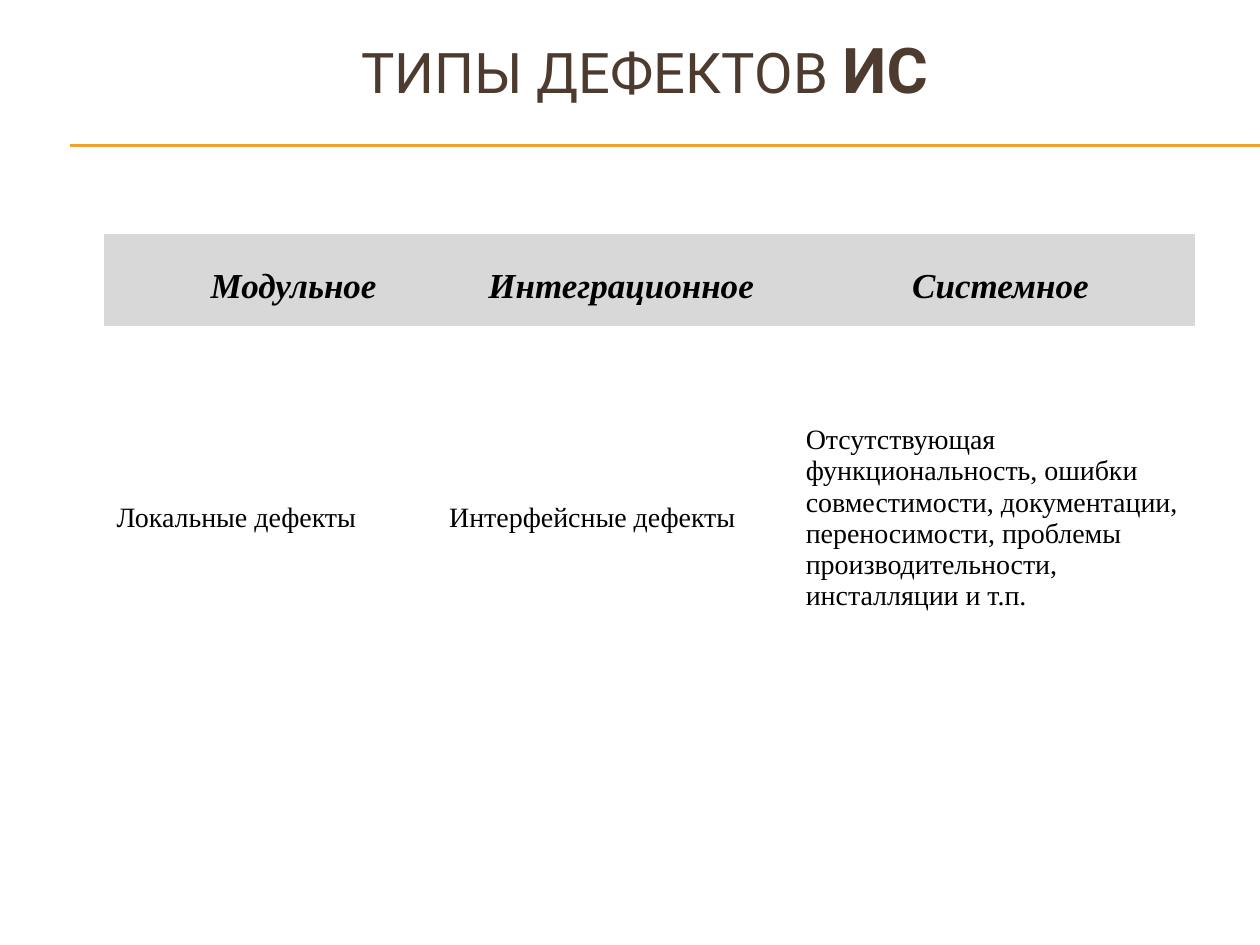
from lxml.etree import SubElement
from pptx import Presentation
from pptx.dml.color import RGBColor
from pptx.enum.shapes import MSO_CONNECTOR
from pptx.enum.text import MSO_ANCHOR, PP_ALIGN
from pptx.oxml.ns import qn
from pptx.util import Pt

COLORS = {"rule": "F0A22E", "title": "4E3B30", "text": "000000",
          "header": "D8D8D8", "body": "FFFFFF"}


def add_text(paragraph, text, size, font="Times New Roman", color="text",
             bold=False, italic=False, align=PP_ALIGN.LEFT):
    paragraph.alignment = align
    run = paragraph.add_run()
    run.text = text
    run.font.name = font
    run.font.size = Pt(size)
    run.font.bold = bold
    run.font.italic = italic
    run.font.color.rgb = RGBColor.from_string(COLORS[color])


presentation = Presentation()
presentation.slide_width = Pt(720)
presentation.slide_height = Pt(540)
slide = presentation.slides.add_slide(presentation.slide_layouts[6])

# Double rule under the title
for y in (82.8, 83.5):
    rule = slide.shapes.add_connector(
        MSO_CONNECTOR.STRAIGHT, Pt(40.3), Pt(y), Pt(720), Pt(y))
    rule.line.color.rgb = RGBColor.from_string(COLORS["rule"])
    rule.line.width = Pt(0.75)
    SubElement(rule._element.spPr, qn("a:effectLst"))

# Table of defect types by testing level
column_widths = [19.4, 170.6, 203.8, 229.7]
row_heights = [52.6, 212.4]
rows = [
    ["", "Модульное", "Интеграционное", "Системное"],
    ["Локальные дефекты", "", "Интерфейсные дефекты",
     "Отсутствующая функциональность, ошибки совместимости, документации, "
     "переносимости, проблемы производительности, инсталляции и т.п."],
]
formats = [
    {"size": 20, "bold": True, "italic": True, "align": PP_ALIGN.CENTER},
    {"size": 16},
]
table = slide.shapes.add_table(
    len(rows), len(column_widths), Pt(59.5), Pt(133.7),
    Pt(sum(column_widths)), Pt(sum(row_heights))).table
for column, width in zip(table.columns, column_widths):
    column.width = Pt(width)
for row, height in zip(table.rows, row_heights):
    row.height = Pt(height)
table.cell(1, 0).merge(table.cell(1, 1))

for row, texts, text_format, fill in zip(table.rows, rows, formats, ("header", "body")):
    for cell, text in zip(row.cells, texts):
        cell.margin_left = cell.margin_top = Pt(7.2)
        cell.margin_right = cell.margin_bottom = Pt(0)
        cell.vertical_anchor = MSO_ANCHOR.MIDDLE
        # No borders
        for side in ("a:lnL", "a:lnR", "a:lnT", "a:lnB"):
            border = SubElement(cell._tc.get_or_add_tcPr(), qn(side), w="0")
            SubElement(border, qn("a:noFill"))
        cell.fill.solid()
        cell.fill.fore_color.rgb = RGBColor.from_string(COLORS[fill])
        if text:
            add_text(cell.text_frame.paragraphs[0], text, **text_format)

# Title
title = slide.shapes.add_textbox(Pt(25.2), Pt(13.7), Pt(686.2), Pt(45.4))
title.text_frame.word_wrap = True
paragraph = title.text_frame.paragraphs[0]
for text, size, bold in (("ТИПЫ ДЕФЕКТОВ ", 32, False), ("ИС", 36, True)):
    add_text(paragraph, text, size, font="Roboto", color="title", bold=bold,
             align=PP_ALIGN.CENTER)

presentation.save("out.pptx")
